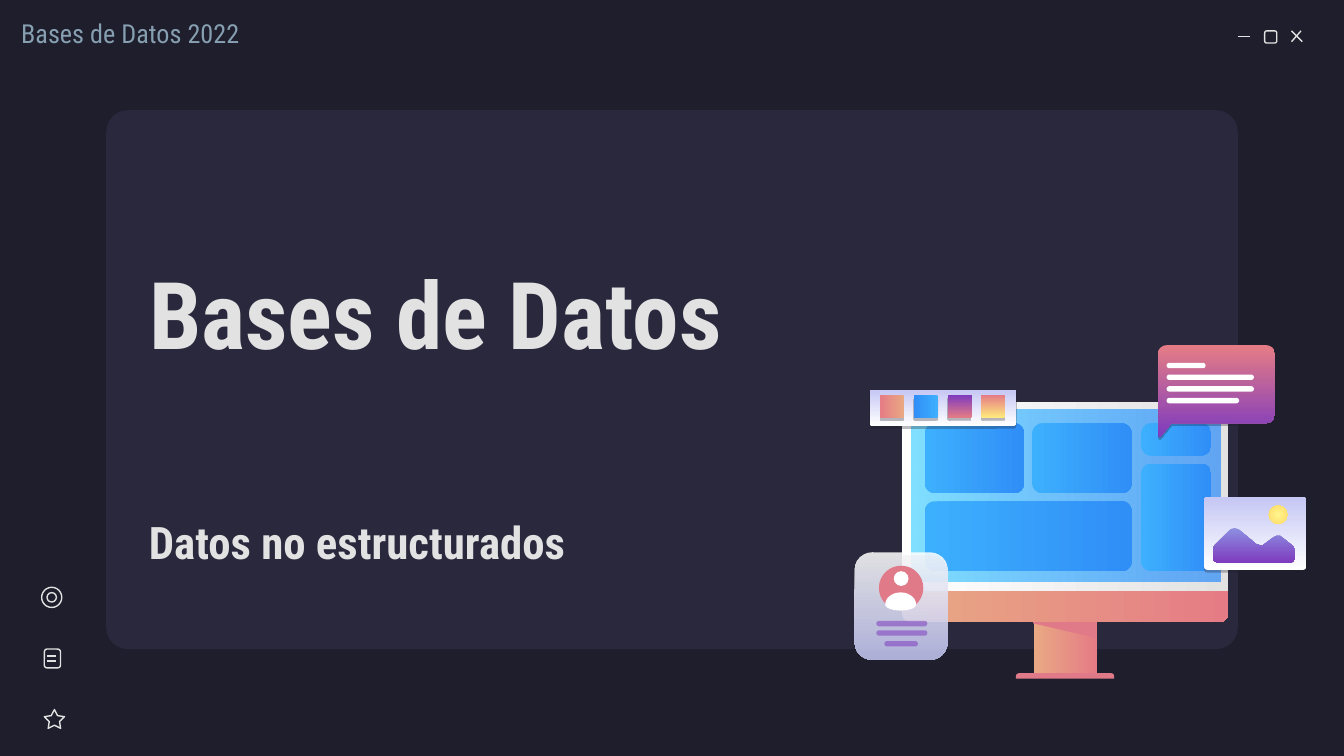
from math import cos, sin, radians
from lxml import etree
from pptx import Presentation
from pptx.dml.color import RGBColor
from pptx.enum.shapes import MSO_CONNECTOR, MSO_SHAPE as Kind
from pptx.enum.text import MSO_ANCHOR as Anchor, MSO_AUTO_SIZE, PP_ALIGN
from pptx.oxml.ns import qn
from pptx.util import Inches, Pt

NIGHT = RGBColor(0x1E, 0x1E, 0x2C)
PANEL = RGBColor(0x29, 0x28, 0x3D)
SLATE = RGBColor(0x86, 0x9F, 0xB1)
LIGHT = RGBColor(0xE2, 0xE2, 0xE2)
WHITE = RGBColor(0xFF, 0xFF, 0xFF)
ROSE = RGBColor(0xE0, 0x7A, 0x88)
PEACH = RGBColor(0xE9, 0xA9, 0x84)
CORAL = RGBColor(0xE5, 0x7C, 0x85)
PURPLE = RGBColor(0x7E, 0x3B, 0xBE)
LAVENDER = RGBColor(0xC5, 0xC7, 0xF4)
PERIWINKLE = RGBColor(0x8D, 0x90, 0xE1)
CYAN = RGBColor(0x80, 0xDF, 0xFF)
AZURE = RGBColor(0x31, 0x8F, 0xFA)
SKY = RGBColor(0x3D, 0xB0, 0xFD)
BLUE = RGBColor(0x30, 0x8E, 0xF7)
LEMON = RGBColor(0xFF, 0xF6, 0x8E)
YELLOW = RGBColor(0xFF, 0xEA, 0x7D)
GOLD = RGBColor(0xFF, 0xD9, 0x66)

prs = Presentation()
prs.slide_width = Inches(10)
prs.slide_height = Inches(10) * 9 // 16
slide = prs.slides.add_slide(prs.slide_layouts[5])
slide.background.fill.solid()
slide.background.fill.fore_color.rgb = NIGHT
shapes = slide.shapes


def write(box, text, size, color, bold=False, anchor=Anchor.TOP):
    frame = box.text_frame
    frame.word_wrap = True
    frame.auto_size = MSO_AUTO_SIZE.NONE
    frame.vertical_anchor = anchor
    frame.margin_left = frame.margin_right = Inches(0.1)
    frame.margin_top = frame.margin_bottom = Inches(0.1)
    paragraph = frame.paragraphs[0]
    paragraph.text = text
    paragraph.alignment = PP_ALIGN.LEFT
    font = paragraph.runs[0].font
    font.name, font.size, font.bold = "Roboto Condensed", Pt(size), bold
    font.color.rgb = color


def draw(kind, area, colors=(), angle=0, alphas=(), corners=(), outlined=False, shadow=False):
    if kind == "outline":
        points = [(round(x * 1000), round(y * 1000)) for x, y in area]
        builder = shapes.build_freeform(*points[0], scale=Inches(0.001))
        builder.add_line_segments(points[1:], close=True)
        part = builder.convert_to_shape()
    else:
        part = shapes.add_shape(kind, *map(Inches, area))
    for index, value in enumerate(corners):
        part.adjustments[index] = value
    part.shadow.inherit = False
    if len(colors) == 2:
        part.fill.gradient()
        part.fill.gradient_angle = (360 - angle) % 360
        for stop, color in zip(part.fill.gradient_stops, colors):
            stop.color.rgb = color
    elif colors:
        part.fill.solid()
        part.fill.fore_color.rgb = colors[0]
    else:
        part.fill.background()
    properties = part._element.spPr
    for color, alpha in zip(list(properties.iter(qn("a:srgbClr"))), alphas):
        etree.SubElement(color, qn("a:alpha"), val=str(alpha * 1000))
    if outlined:
        part.line.color.rgb, part.line.width = LIGHT, Pt(0.75)
    else:
        part.line.fill.background()
    if shadow:
        effects = properties.find(qn("a:effectLst"))
        cast = etree.SubElement(effects, qn("a:outerShdw"), blurRad="0", dist=str(Pt(1.5)),
                                dir="5400000", algn="bl", rotWithShape="0")
        shade = etree.SubElement(cast, qn("a:srgbClr"), val=str(NIGHT))
        etree.SubElement(shade, qn("a:alpha"), val="30000")
    return part


header = shapes.add_textbox(Inches(0.06), Inches(0.03), Inches(1.97), Inches(0.67))
write(header, "Bases de Datos 2022", 14, SLATE)
draw(Kind.ROUNDED_RECTANGLE, (0.79, 0.82, 8.42, 4.01), [PANEL], corners=[0.04])

subtitle = shapes.add_textbox(Inches(1.01), Inches(3.8), Inches(4.21), Inches(0.46))
write(subtitle, "Datos no estructurados", 24, LIGHT, bold=True, anchor=Anchor.MIDDLE)
title = shapes.title
title.left, title.top, title.width, title.height = map(Inches, (1.01, 1.44, 4.86, 1.76))
write(title, "Bases de Datos", 50, LIGHT, bold=True, anchor=Anchor.MIDDLE)
shapes._spTree.append(title._element)

draw(Kind.RECTANGLE, (7.69, 4.61, 0.47, 0.43), [PEACH, CORAL])
draw(Kind.ROUND_2_SAME_RECTANGLE, (7.56, 5.01, 0.73, 0.04), [ROSE], corners=[0.5, 0])
draw("outline", [(7.69, 4.61), (7.69, 4.64), (8.16, 4.75), (8.16, 4.61)], [ROSE])
draw(Kind.ROUND_2_SAME_RECTANGLE, (6.71, 4.39, 2.43, 0.24), [PEACH, CORAL], corners=[0, 0.28])
draw(Kind.ROUND_2_SAME_RECTANGLE, (6.71, 2.99, 2.43, 1.41), [WHITE, LIGHT], corners=[0.05, 0])
draw(Kind.RECTANGLE, (6.78, 3.05, 2.3, 1.28), [CYAN, AZURE], alphas=[100, 72])
for left, top, width, height in [
    (6.88, 3.15, 0.74, 0.52), (6.88, 3.73, 1.54, 0.52), (7.68, 3.15, 0.74, 0.52),
    (8.49, 3.15, 0.52, 0.24), (8.49, 3.45, 0.52, 0.8),
]:
    draw(Kind.ROUNDED_RECTANGLE, (left, top, width, height), [SKY, BLUE],
         corners=[0.075 / min(width, height)])

bubble = [(8.72, 3.15), (8.64, 3.25), (8.63, 3.25), (8.62, 3.24)]
for x, y, start in [(8.685, 2.635, 180), (9.425, 2.635, 270), (9.425, 3.085, 0)]:
    bubble += [(x + 0.065 * cos(radians(start + turn)), y + 0.065 * sin(radians(start + turn)))
               for turn in range(0, 91, 15)]
draw("outline", bubble, [CORAL, PURPLE], 90, shadow=True)
for row, width in enumerate([0.29, 0.65, 0.65, 0.54]):
    draw(Kind.ROUNDED_RECTANGLE, (8.68, 2.7 + row * 0.087, width, 0.04), [WHITE], corners=[0.5])

draw(Kind.ROUNDED_RECTANGLE, (6.36, 4.11, 0.69, 0.8), [WHITE, LAVENDER], 90,
     alphas=[86, 86], corners=[0.187], shadow=True)
draw(Kind.OVAL, (6.54, 4.21, 0.33, 0.33), [ROSE])
draw(Kind.OVAL, (6.65, 4.25, 0.11, 0.11), [WHITE])
shoulders = []
for degrees in range(0, 360, 10):
    rise = sin(radians(degrees))
    shoulders.append((6.705 + 0.115 * cos(radians(degrees)),
                      4.5 + rise * (0.045 if rise > 0 else 0.09)))
draw("outline", shoulders, [WHITE])
for left, top, width in [(6.52, 4.62, 0.38), (6.52, 4.69, 0.38), (6.58, 4.77, 0.25)]:
    draw(Kind.ROUNDED_RECTANGLE, (left, top, width, 0.04), [PURPLE], alphas=[54], corners=[0.5])

draw(Kind.ROUNDED_RECTANGLE, (8.96, 3.7, 0.76, 0.54), [WHITE, LAVENDER], 270,
     corners=[0.04], shadow=True)
mountains = [(9.03, 4.08), (9.04, 4.06), (9.16, 3.94), (9.19, 3.93), (9.22, 3.94), (9.35, 4.05),
             (9.38, 4.06), (9.4, 4.06), (9.48, 4), (9.5, 3.99), (9.53, 3.99), (9.63, 4.07),
             (9.64, 4.09), (9.64, 4.16), (9.63, 4.18), (9.6, 4.19), (9.07, 4.19), (9.04, 4.18),
             (9.03, 4.16)]
draw("outline", mountains, [PERIWINKLE, PURPLE], 90)
sun = draw(Kind.OVAL, (9.44, 3.76, 0.14, 0.14), [LEMON, GOLD])
glow = sun._element.spPr.find(qn("a:gradFill"))
glow.remove(glow.find(qn("a:lin")))
radial = etree.SubElement(glow, qn("a:path"), path="circle")
etree.SubElement(radial, qn("a:fillToRect"), l="50000", t="50000", r="50000", b="50000")

draw(Kind.ROUNDED_RECTANGLE, (6.47, 2.9, 1.09, 0.27), [WHITE, LAVENDER], 270,
     corners=[0.07], shadow=True)
swatches = [(PEACH, CORAL, 180), (SKY, BLUE, 180), (CORAL, PURPLE, 270), (YELLOW, CORAL, 270)]
for column, (first, second, angle) in enumerate(swatches):
    draw(Kind.ROUNDED_RECTANGLE, (6.55 + column * 0.25, 2.94, 0.18, 0.17), [first, second], angle,
         corners=[0.07], shadow=True)

for kind, area, corners in [
    (Kind.ROUNDED_RECTANGLE, (9.41, 0.23, 0.09, 0.09), [0.167]),
    (Kind.STAR_5_POINT, (0.33, 5.28, 0.15, 0.14), [0.254]),
    (Kind.ROUNDED_RECTANGLE, (0.33, 4.83, 0.12, 0.14), [0.167]),
    (Kind.OVAL, (0.31, 4.37, 0.15, 0.15), []),
    (Kind.OVAL, (0.35, 4.41, 0.07, 0.07), []),
]:
    draw(kind, area, corners=corners, outlined=True)
for ends in [
    (9.21, 0.27, 9.3, 0.27), (9.61, 0.23, 9.69, 0.31), (9.68, 0.23, 9.61, 0.31),
    (0.35, 4.88, 0.42, 4.88), (0.35, 4.92, 0.42, 4.92),
]:
    stroke = shapes.add_connector(MSO_CONNECTOR.STRAIGHT, *map(Inches, ends))
    stroke.line.color.rgb, stroke.line.width = LIGHT, Pt(0.75)
    etree.SubElement(stroke._element.spPr, qn("a:effectLst"))

prs.save("out.pptx")
